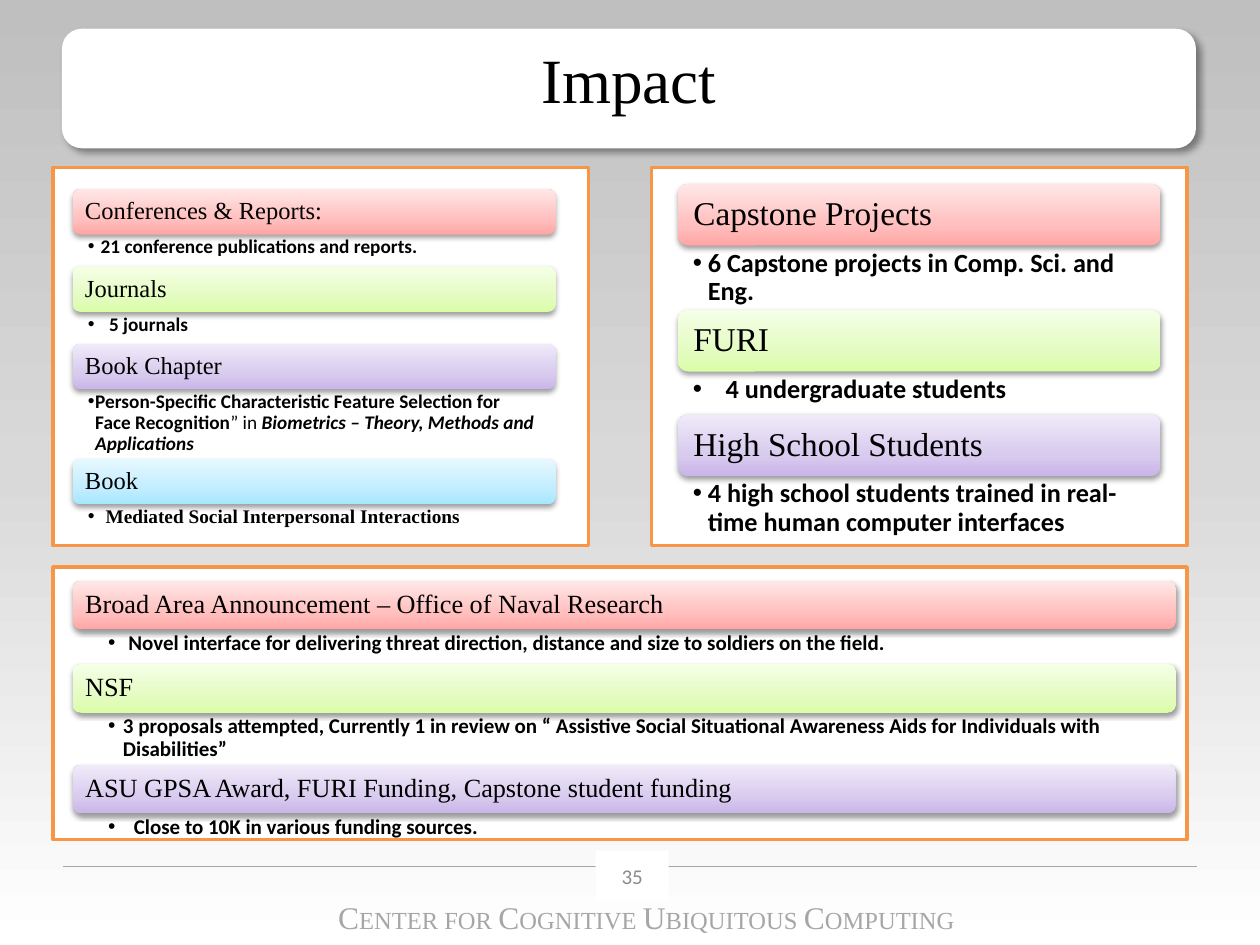
"""Build the Impact slide: three framed panels of coloured headings with bullets."""
from lxml import etree
from pptx import Presentation
from pptx import util as u
from pptx.dml import color
from pptx.enum import shapes, text
from pptx.oxml import ns


class Theme:
    serif, sans = "Times New Roman", "Calibri"
    black, white, orange = "000000", "FFFFFF", "F79646"
    grey, number = "A6A6A6", "8C8C8C"
    page = ((0, "BFBFBF"), (50, "D9D9D9"), (100, "FFFFFF"))
    heads = (
        ((0, "FFA6A5"), (35, "FFC0BF"), (100, "FFE7E7")),
        ((0, "DAFDA7"), (35, "E4FCC2"), (100, "F5FFE7")),
        ((0, "C9B5E8"), (35, "D8CBEE"), (100, "F0EAF9")),
        ((0, "A7E6FF"), (35, "C1EDFF"), (100, "E7F8FF")),
    )
    title_size, number_size = 36, 12
    footer_cap, footer_small = 18, 14


def box(kind, at, fill=None, angle=90, shadow=None):
    sp = s.shapes.add_shape(kind, *map(u.Cm, at))
    sp.shadow.inherit = False
    sp.line.fill.background()
    props = sp._element.spPr
    if fill is None:
        sp.fill.background()
    elif isinstance(fill, str):
        sp.fill.solid()
        sp.fill.fore_color.rgb = color.RGBColor.from_string(fill)
    else:
        sp.fill.gradient()
        sp.fill.gradient_angle = angle
        stops = props.find(ns.qn("a:gradFill")).find(ns.qn("a:gsLst"))
        for old in list(stops):
            stops.remove(old)
        for pos, rgb in fill:
            stop = etree.SubElement(stops, ns.qn("a:gs"), pos=str(pos * 1000))
            etree.SubElement(stop, ns.qn("a:srgbClr"), val=rgb)
    if shadow:
        alpha, blur, dist, direction = shadow
        outer = etree.SubElement(
            props.find(ns.qn("a:effectLst")), ns.qn("a:outerShdw"),
            blurRad=str(u.Pt(blur)), dist=str(u.Pt(dist)),
            dir=str(direction * 60000), rotWithShape="0")
        rgb = etree.SubElement(outer, ns.qn("a:srgbClr"), val=Theme.black)
        etree.SubElement(rgb, ns.qn("a:alpha"), val=str(alpha * 1000))
    return sp


def write(sp, runs, font, size, rgb, align, anchor, insets):
    tf = sp.text_frame
    tf.word_wrap = True
    tf.vertical_anchor = anchor
    tf.margin_left, tf.margin_top, tf.margin_right, tf.margin_bottom = map(u.Cm, insets)
    p = tf.paragraphs[0]
    p.alignment = align
    for words in runs:
        p.add_run().text = words
    p.font.name, p.font.size = font, u.Pt(size)
    p.font.color.rgb = color.RGBColor.from_string(rgb)
    return p


RECT, ROUND = shapes.MSO_SHAPE.RECTANGLE, shapes.MSO_SHAPE.ROUNDED_RECTANGLE
LEFT, CENTER = text.PP_ALIGN.LEFT, text.PP_ALIGN.CENTER
TOP, MIDDLE = text.MSO_ANCHOR.TOP, text.MSO_ANCHOR.MIDDLE
PLAIN = (0.25, 0.13, 0.25, 0.13)

prs = Presentation()
prs.slide_width, prs.slide_height = u.Cm(25.4), u.Cm(19.05)
s = prs.slides.add_slide(prs.slide_layouts[6])

box(RECT, (0, 0, 25.4, 19.05), Theme.page, angle=270)
title = box(ROUND, (1.25, 0.58, 22.86, 2.41), Theme.white, shadow=(40, 4, 3, 45))
write(title, ["Impact"], Theme.serif, Theme.title_size, Theme.black, CENTER, TOP, PLAIN)

footer = s.shapes.add_textbox(*map(u.Cm, (5.51, 17.98, 15.04, 1.02)))
words = ["C", "ENTER FOR ", "C", "OGNITIVE ", "U", "BIQUITOUS ", "C", "OMPUTING"]
p = write(footer, words, Theme.serif, Theme.footer_small, Theme.grey, CENTER, TOP, PLAIN)
for r in p.runs[::2]:
    r.font.size = u.Pt(Theme.footer_cap)

rule = s.shapes.add_connector(
    shapes.MSO_CONNECTOR.STRAIGHT, u.Cm(1.27), u.Cm(17.47), u.Cm(24.13), u.Cm(17.47))
rule.line.color.rgb = color.RGBColor.from_string(Theme.grey)
rule.line.width = u.Pt(0.75)
etree.SubElement(rule._element.spPr, ns.qn("a:effectLst"))

number = box(RECT, (12.01, 17.15, 1.47, 1.02), Theme.white)
write(number, ["35"], Theme.sans, Theme.number_size, Theme.number, CENTER, MIDDLE, PLAIN)

panels = [
    dict(frame=(1.07, 3.38, 10.8, 7.62), left=1.47, top=3.81, width=9.73,
         head=0.92, pad=0.2, sizes=(14, 11), insets=(0.3, 0.05, 0.36, 0.05), items=[
             ("Conferences & Reports:", 0.64, 0.26, Theme.sans,
              ["21 conference publications and reports."]),
             ("Journals", 0.64, 0.43, Theme.sans, ["5 journals"]),
             ("Book Chapter", 1.4, 0.15, Theme.sans,
              ["Person-Specific Characteristic Feature Selection for Face Recognition",
               "” in ", "Biometrics – Theory, Methods and Applications"]),
             ("Book", 0.64, 0.36, Theme.serif,
              ["Mediated Social Interpersonal Interactions"])]),
    dict(frame=(13.13, 3.38, 10.8, 7.62), left=13.67, top=3.71, width=9.73,
         head=1.24, pad=0.25, sizes=(19, 15), insets=(0.3, 0.08, 0.38, 0.08), items=[
             ("Capstone Projects", 1.3, 0.3, Theme.sans,
              ["6 Capstone projects in Comp. Sci. and Eng."]),
             ("FURI", 0.87, 0.66, Theme.sans, ["4 undergraduate students"]),
             ("High School Students", 1.3, 0.3, Theme.sans,
              ["4 high school students trained in real-time human computer interfaces"])]),
    dict(frame=(1.07, 11.43, 22.86, 5.5), left=1.47, top=11.71, width=22.23,
         head=0.98, pad=0.2, sizes=(15, 12), insets=(0.71, 0.05, 0.3, 0.05), items=[
             ("Broad Area Announcement – Office of Naval Research", 0.7, 0.41, Theme.sans,
              ["Novel interface for delivering threat direction, distance and size to "
               "soldiers on the field."]),
             ("NSF", 1.05, 0.3, Theme.sans,
              ["3 proposals attempted, Currently 1 in review on “ Assistive Social "
               "Situational Awareness Aids for Individuals with Disabilities”"]),
             ("ASU GPSA Award, FURI Funding, Capstone student funding", 0.7, 0.52, Theme.sans,
              ["Close to 10K in various funding sources."])]),
]

for panel in panels:
    frame = box(RECT, panel["frame"], Theme.white)
    frame.line.color.rgb = color.RGBColor.from_string(Theme.orange)
    frame.line.width = u.Pt(2)
    left, y, width, head = (panel[key] for key in ("left", "top", "width", "head"))
    head_size, body_size = panel["sizes"]
    for (heading, height, hang, font, runs), fill in zip(panel["items"], Theme.heads):
        sp = box(ROUND, (left, y, width, head), fill, shadow=(38, 3.1, 1.6, 90))
        p = write(sp, [heading], Theme.serif, head_size, Theme.black, LEFT, MIDDLE,
                  (panel["pad"], 0, panel["pad"], 0))
        p.line_spacing = 0.9
        y += head

        body = s.shapes.add_textbox(*map(u.Cm, (left, y, width, height)))
        p = body.text_frame.paragraphs[0]
        props = p._p.get_or_add_pPr()
        props.set("marL", str(u.Cm(hang)))
        props.set("indent", str(-u.Cm(hang)))
        etree.SubElement(props, ns.qn("a:buFont"), typeface="Arial")
        etree.SubElement(props, ns.qn("a:buChar"), char="•")
        p = write(body, runs, font, body_size, Theme.black, LEFT, TOP, panel["insets"])
        p.line_spacing = 0.9
        p.font.bold = True
        if len(runs) > 1:
            p.runs[1].font.bold = False
            p.runs[2].font.italic = True
        y += height

prs.save("out.pptx")
